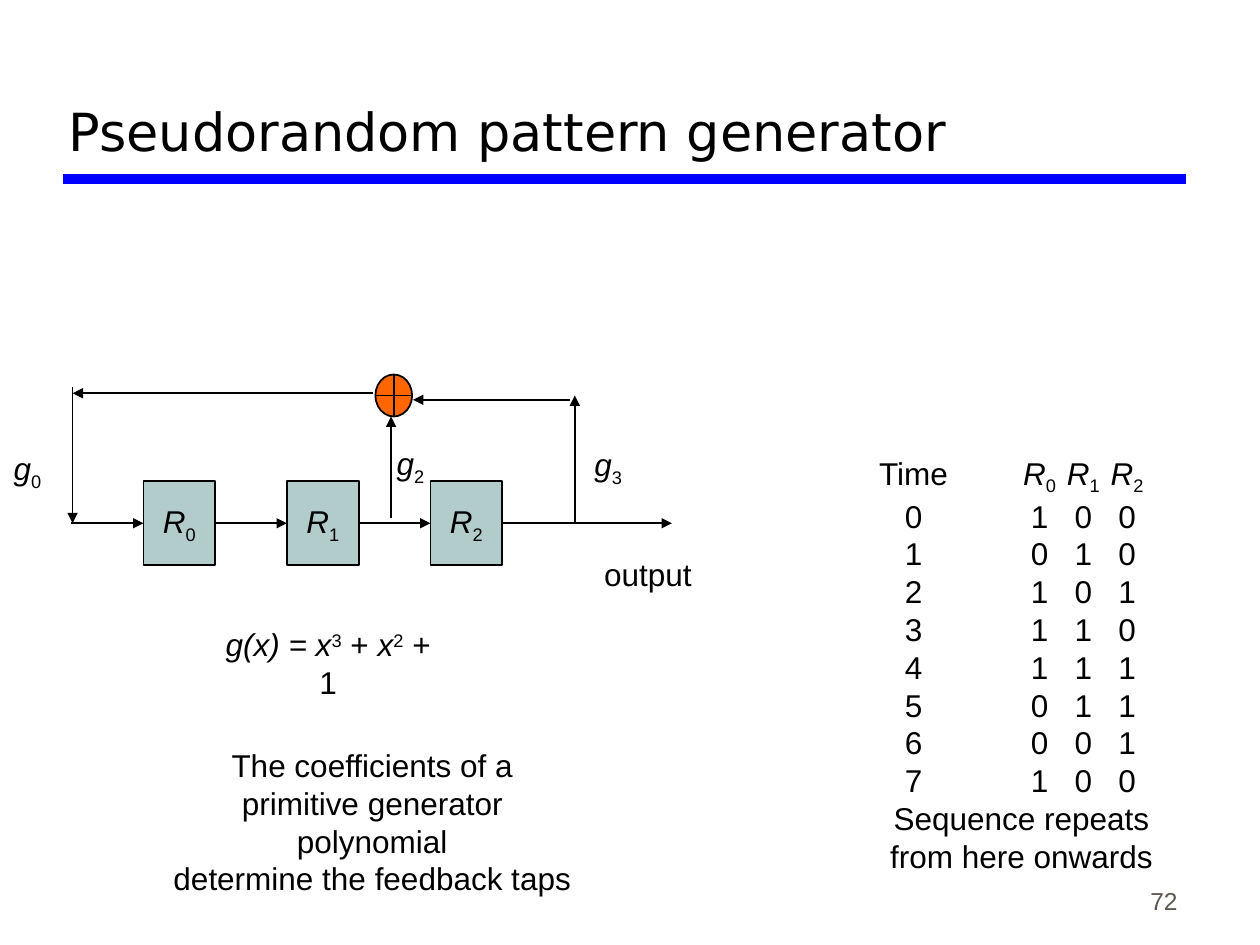
from lxml.etree import SubElement
from pptx import Presentation
from pptx.dml.color import RGBColor
from pptx.enum.shapes import MSO_CONNECTOR, MSO_SHAPE
from pptx.enum.text import MSO_ANCHOR, PP_ALIGN
from pptx.oxml.ns import qn
from pptx.util import Pt

BLACK = RGBColor(0x00, 0x00, 0x00)
BLUE = RGBColor(0x00, 0x00, 0xFF)
REGISTER_FILL = RGBColor(0xB1, 0xCC, 0xCB)
ADDER_FILL = RGBColor(0xFF, 0x66, 0x00)
NUMBER_GREY = RGBColor(0x5E, 0x57, 0x4E)
BASELINES = {"sub": "-25000", "sup": "30000"}

prs = Presentation()
prs.slide_width, prs.slide_height = Pt(720), Pt(540)
slide = prs.slides.add_slide(prs.slide_layouts[5])


def write(frame, lines, size=18, color=BLACK, align=PP_ALIGN.CENTER, anchor=MSO_ANCHOR.MIDDLE, wrap=False):
    """Fill a text frame; each line is a string or a list of (text, style) pairs."""
    frame.word_wrap, frame.vertical_anchor = wrap, anchor
    for index, line in enumerate(lines):
        paragraph = frame.paragraphs[0] if index == 0 else frame.add_paragraph()
        paragraph.alignment = align
        for text, style in [(line, "")] if isinstance(line, str) else line:
            run = paragraph.add_run()
            run.text = text
            run.font.name, run.font.size = "Arial", Pt(size)
            run.font.color.rgb = color
            run.font.italic = style == "i"
            if style in BASELINES:
                run.font._element.set("baseline", BASELINES[style])


def draw_line(x1, y1, x2, y2, color=BLACK, width=1, arrow=True):
    line = slide.shapes.add_connector(MSO_CONNECTOR.STRAIGHT, Pt(x1), Pt(y1), Pt(x2), Pt(y2))
    line.line.color.rgb, line.line.width = color, Pt(width)
    if arrow:
        SubElement(line.line._get_or_add_ln(), qn("a:tailEnd"), type="triangle")
    SubElement(line._element.spPr, qn("a:effectLst"))
    return line


# Title and rule
title = slide.shapes.title
title.left, title.top, title.width, title.height = Pt(32), Pt(12), Pt(646), Pt(84)
title.text_frame.text = "Pseudorandom pattern generator"
title.text_frame.vertical_anchor = MSO_ANCHOR.BOTTOM
heading = title.text_frame.paragraphs[0]
heading.alignment = PP_ALIGN.LEFT
heading.runs[0].font.name = "DejaVu Sans"
heading.runs[0].font.size = Pt(30)
heading.runs[0].font.color.rgb = BLACK
draw_line(36, 102.2, 678, 102.2, BLUE, 6, arrow=False)

# Shift registers
REGISTER_LEFT, REGISTER_PITCH, REGISTER_WIDTH = 82, 82, 41
REGISTER_TOP, REGISTER_HEIGHT = 275, 48
row_y = REGISTER_TOP + REGISTER_HEIGHT / 2
registers = []
for index in range(3):
    register = slide.shapes.add_shape(
        MSO_SHAPE.RECTANGLE, Pt(REGISTER_LEFT + index * REGISTER_PITCH), Pt(REGISTER_TOP),
        Pt(REGISTER_WIDTH), Pt(REGISTER_HEIGHT))
    write(register.text_frame, [[("R", "i"), (str(index), "sub")]])
    registers.append(register)

# Adder
adder = slide.shapes.add_shape(MSO_SHAPE.FLOWCHART_OR, Pt(214.5), Pt(214), Pt(21), Pt(24))
for shape in [*registers, adder]:
    shape.shadow.inherit = False
    shape.fill.solid()
    shape.fill.fore_color.rgb = ADDER_FILL if shape is adder else REGISTER_FILL
    shape.line.color.rgb, shape.line.width = BLACK, Pt(1)

# Arrows along the register row
for source, target in zip([None, *registers], [*registers, None]):
    step = draw_line(40.5, row_y, 384, row_y)
    if source:
        step.begin_connect(source, 3)
    if target:
        step.end_connect(target, 1)

# Feedback arrows
for ends in [
    (223.5, 296, 223.5, 238),
    (328.5, row_y, 328.5, 226),
    (325.5, 228.5, 236, 228.5),
    (213, 224.75, 41.5, 224.75),
    (41.5, 221, 41.5, row_y),
]:
    draw_line(*ends)

# Labels and notes: left, top, width, height, lines
for left, top, width, height, lines in [
    (0.7, 252.7, 30, 32, [[("g", "i"), ("0", "sub")]]),
    (219.6, 250, 30, 32, [[("g", "i"), ("2", "sub")]]),
    (332.6, 250.6, 30, 32, [[("g", "i"), ("3", "sub")]]),
    (325, 313.5, 90.5, 29, ["output"]),
    (114.5, 364.5, 146, 29, [[("g(x) = x", "i"), ("3", "sup"), (" + ", ""),
                              ("x", "i"), ("2", "sup"), (" + 1", "")]]),
    (85.7, 433.5, 254, 72, ["The coefficients of a", "primitive generator polynomial",
                            "determine the feedback taps"]),
]:
    box = slide.shapes.add_textbox(Pt(left), Pt(top), Pt(width), Pt(height))
    write(box.text_frame, lines)

# Register states over time, in centred tab columns
STATES = ["100", "010", "101", "110", "111", "011", "001", "100"]
TAB_STOPS = [49, 121, 146, 171]
header = [("\tTime", "")]
for index in range(3):
    header += [("\t", ""), ("R", "i"), (str(index), "sub")]
rows = ["\t" + "\t".join([str(time), *state]) for time, state in enumerate(STATES)]
sequence = slide.shapes.add_textbox(Pt(466), Pt(255.5), Pt(235.5), Pt(248))
write(sequence.text_frame, [header, *rows, "Sequence repeats", "from here onwards"], wrap=True)
for paragraph in sequence.text_frame.paragraphs[:len(rows) + 1]:
    paragraph.alignment = PP_ALIGN.LEFT
    tabs = SubElement(paragraph._p.get_or_add_pPr(), qn("a:tabLst"))
    for stop in TAB_STOPS:
        SubElement(tabs, qn("a:tab"), pos=str(Pt(stop)), algn="ctr")

# Slide number
number = slide.shapes.add_textbox(Pt(530), Pt(490.5), Pt(150), Pt(36))
write(number.text_frame, ["72"], 14, NUMBER_GREY, PP_ALIGN.RIGHT, MSO_ANCHOR.BOTTOM, wrap=True)

prs.save("out.pptx")
